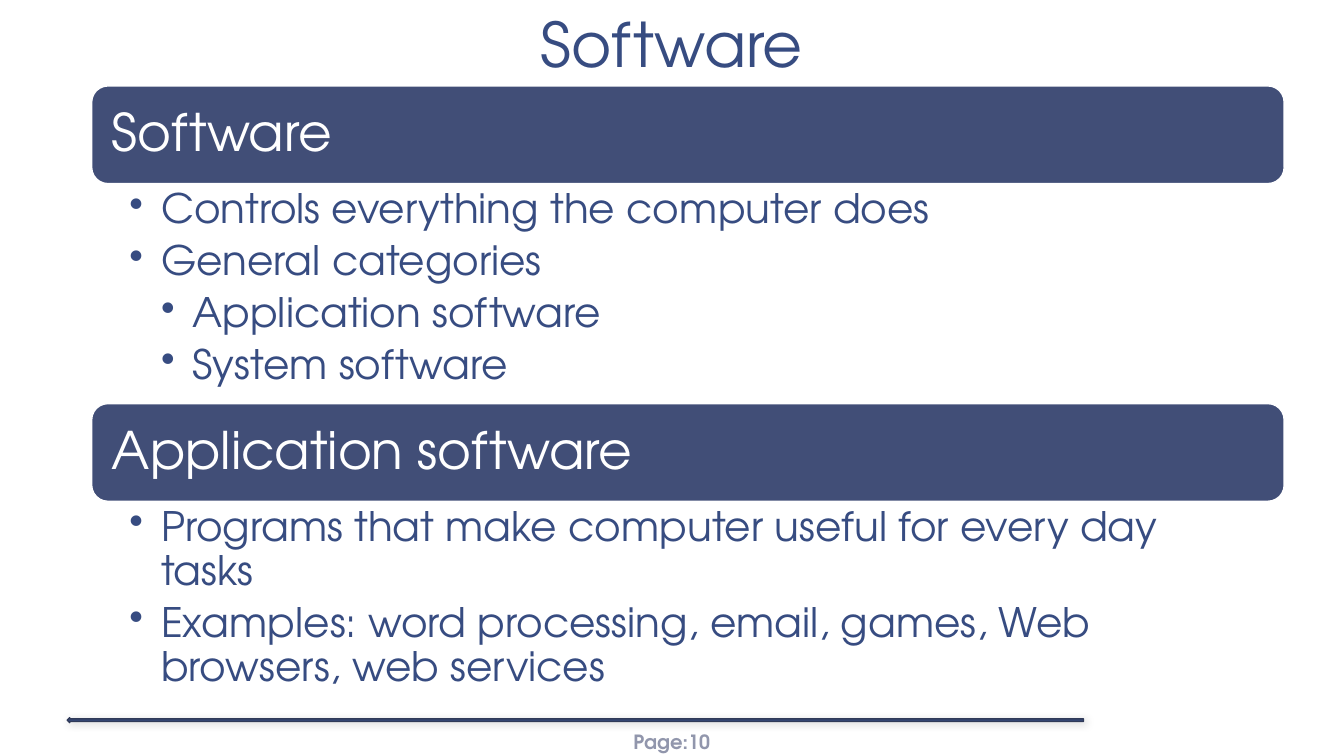
from lxml import etree
from pptx import Presentation
from pptx.dml.color import RGBColor
from pptx.enum import shapes, text
from pptx.oxml import parse_xml
from pptx.oxml.ns import qn
from pptx.util import Pt

NAVY = RGBColor(0x37, 0x4C, 0x81)
BAR = RGBColor(0x41, 0x4E, 0x77)
ARROW_EDGE = RGBColor(0x30, 0x3A, 0x58)
PAGE_GREY = RGBColor(0x91, 0x96, 0xAC)
WHITE = RGBColor(0xFF, 0xFF, 0xFF)
FONT = "TeX Gyre Adventor"
LEFT, WIDTH, BAR_HEIGHT = 65.5, 851.8, 69.8
INDENT = 22.5

SHADOW = (
    '<a:outerShdw xmlns:a="http://schemas.openxmlformats.org/drawingml/2006/main" '
    'blurRad="76200" dist="12700" dir="2700000" rotWithShape="0">'
    '<a:srgbClr val="000000"><a:alpha val="20000"/></a:srgbClr></a:outerShdw>'
)


def set_frame(shape, anchor, left, top, right, bottom):
    frame = shape.text_frame
    frame.word_wrap = True
    frame.vertical_anchor = anchor
    frame.margin_left, frame.margin_top = Pt(left), Pt(top)
    frame.margin_right, frame.margin_bottom = Pt(right), Pt(bottom)
    return frame


def add_run(paragraph, words, size, color, align, spacing=1.0, bold=False):
    paragraph.alignment = align
    paragraph.line_spacing = spacing
    run = paragraph.add_run()
    run.text = words
    run.font.name = FONT
    run.font.size = Pt(size)
    run.font.bold = bold
    run.font.color.rgb = color


prs = Presentation()
prs.slide_width, prs.slide_height = Pt(960), Pt(540)
slide = prs.slides.add_slide(prs.slide_layouts[6])
MIDDLE = text.MSO_ANCHOR.MIDDLE
CENTER, START = text.PP_ALIGN.CENTER, text.PP_ALIGN.LEFT

# Footer: page number and arrow
page = slide.shapes.add_textbox(Pt(416.2), Pt(515.5), Pt(127.4), Pt(28.8))
page_frame = set_frame(page, MIDDLE, 2.9, 1.4, 2.9, 1.4)
add_run(page_frame.paragraphs[0], "Page:10", 14, PAGE_GREY, CENTER, bold=True)

arrow = slide.shapes.add_shape(
    shapes.MSO_SHAPE.LEFT_ARROW, Pt(48), Pt(512.6), Pt(726), Pt(3.6))
arrow.fill.solid()
arrow.fill.fore_color.rgb = NAVY
arrow.line.color.rgb = ARROW_EDGE
arrow.line.width = Pt(1)
arrow.shadow.inherit = False
arrow._element.spPr.find(qn("a:effectLst")).append(parse_xml(SHADOW))

# Title
title = slide.shapes.add_textbox(Pt(80), Pt(0), Pt(800), Pt(62))
title_frame = set_frame(title, text.MSO_ANCHOR.BOTTOM, 9.4, 5, 9.4, 5)
add_run(title_frame.paragraphs[0], "Software", 44, NAVY, CENTER, 0.85)

# Sections: heading, top, height of the list, list of (depth, words)
sections = [
    ("Software", 61.4, 157, [
        (1, "Controls everything the computer does"),
        (1, "General categories"),
        (2, "Application software"),
        (2, "System software"),
    ]),
    ("Application software", 288.3, 144.7, [
        (1, "Programs that make computer useful for every day tasks"),
        (1, "Examples: word processing, email, games, Web browsers, web services"),
    ]),
]

for heading, top, list_height, points in sections:
    bar = slide.shapes.add_shape(
        shapes.MSO_SHAPE.ROUNDED_RECTANGLE,
        Pt(LEFT), Pt(top), Pt(WIDTH), Pt(BAR_HEIGHT))
    bar.fill.solid()
    bar.fill.fore_color.rgb = BAR
    bar.line.color.rgb = WHITE
    bar.line.width = Pt(1)
    bar.shadow.inherit = False
    bar_frame = set_frame(bar, MIDDLE, 11, 11, 11, 11)
    add_run(bar_frame.paragraphs[0], heading, 37, WHITE, START, 0.9)

    details = slide.shapes.add_textbox(
        Pt(LEFT), Pt(top + BAR_HEIGHT), Pt(WIDTH), Pt(list_height))
    details_frame = set_frame(details, text.MSO_ANCHOR.TOP, 27, 3.7, 20.9, 3.7)
    for number, (depth, words) in enumerate(points):
        point = details_frame.add_paragraph() if number else details_frame.paragraphs[0]
        point.level = depth
        point.space_after = Pt(5.8)
        props = point._p.get_or_add_pPr()
        props.set("marL", str(Pt(INDENT * depth)))
        props.set("indent", str(-Pt(INDENT)))
        etree.SubElement(props, qn("a:buChar")).set("char", "•")
        add_run(point, words, 29, NAVY, START, 0.9)

prs.save("out.pptx")
